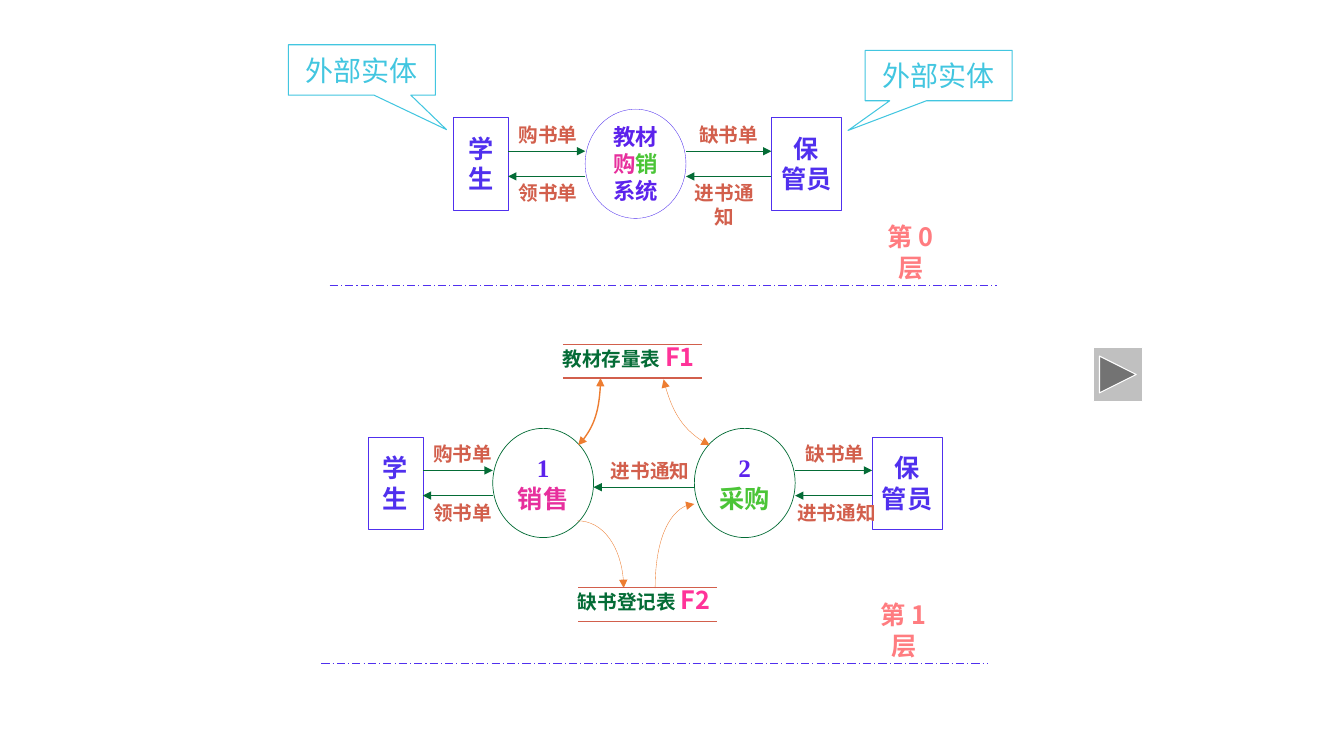
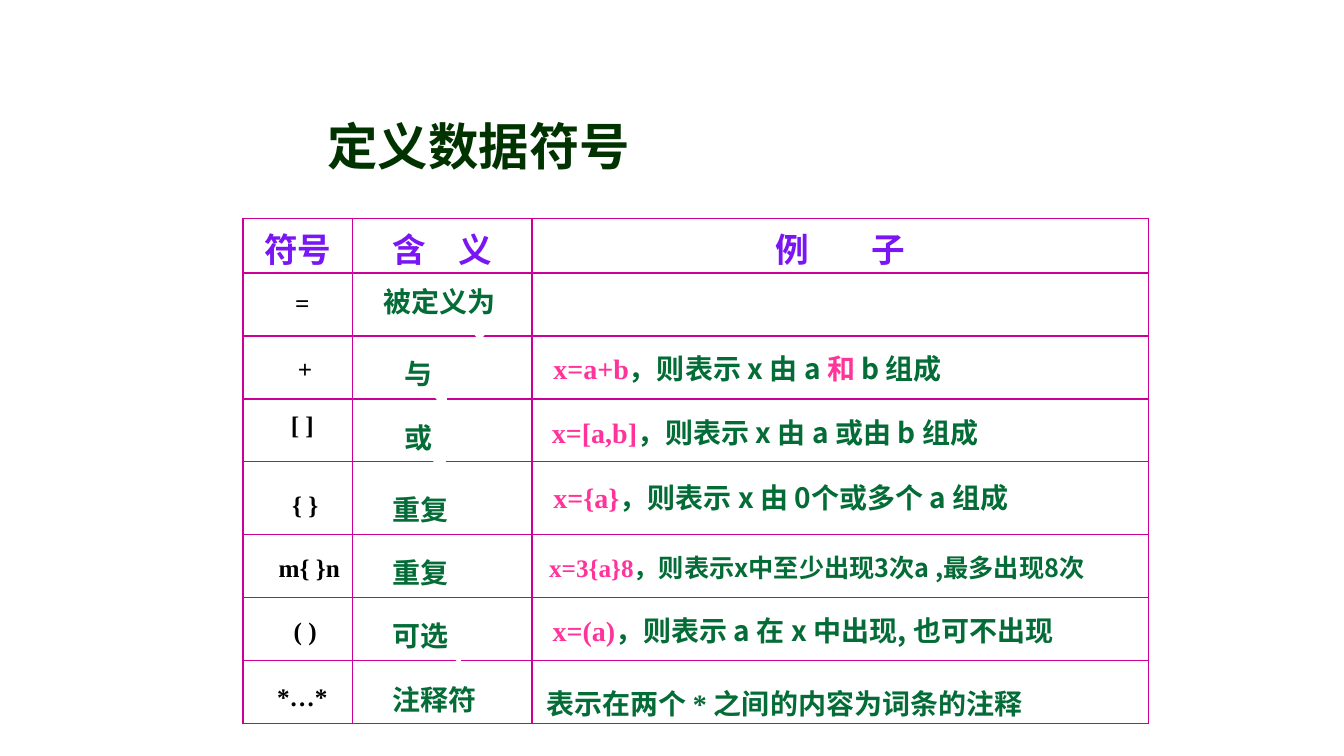
"""Build two slides: a two-level data flow diagram and a table of data definition symbols."""
from lxml.etree import SubElement
from pptx import Presentation
from pptx.dml.color import RGBColor
from pptx.enum.dml import MSO_LINE
from pptx.enum.shapes import MSO_CONNECTOR, MSO_SHAPE
from pptx.enum.text import MSO_ANCHOR, PP_ALIGN
from pptx.oxml.ns import qn
from pptx.util import Pt

RECT, ELLIPSE = MSO_SHAPE.RECTANGLE, MSO_SHAPE.OVAL
ROUNDED, CALLOUT = MSO_SHAPE.ROUNDED_RECTANGLE, MSO_SHAPE.RECTANGULAR_CALLOUT
NEXT_BUTTON = MSO_SHAPE.ACTION_BUTTON_FORWARD_OR_NEXT
STRAIGHT, DASH_DOT = MSO_CONNECTOR.STRAIGHT, MSO_LINE.LONG_DASH_DOT
TOP, MIDDLE = MSO_ANCHOR.TOP, MSO_ANCHOR.MIDDLE
LEFT, CENTER = PP_ALIGN.LEFT, PP_ALIGN.CENTER

SANS, SERIF, HEADER_FONT = "Noto Sans CJK SC", "Times New Roman", "Cambria"
WHITE, BLACK, GREY = "FFFFFF", "000000", "C0C0C0"
GREEN, BRICK, ORANGE, CYAN = "046C36", "D25F4C", "ED7D31", "42C6E0"
BLUE, VIOLET, MAGENTA, LIME = "5030EE", "5C22EC", "E72F9D", "4BC537"
PINK, SALMON, DARK_GREEN = "FF3399", "FF7C80", "003300"
HEADER_COLOR, BORDER_COLOR = "7A16F4", "CC0099"

ENTITY = (18, SERIF, BLUE)
ENTITY_HEIGHT, PROCESS_WIDTH, PROCESS_HEIGHT = 66, 72, 78
STUDENT = (39, ["学", "生"])
KEEPER = (50, ["保", "管员"])
SYSTEM = [
    [("教材", (16, SERIF, VIOLET))],
    [("购", (16, SERIF, MAGENTA)), ("销", (16, SERIF, LIME))],
    [("系统", (16, SERIF, VIOLET))],
]
SALES = [[("1", (18, SERIF, VIOLET))], [("销售", (18, SANS, MAGENTA))]]
PURCHASE = [[("2", (18, SERIF, VIOLET))], [("采购", (18, SANS, LIME))]]

LEVELS = [
    {
        "name": "第 0 层", "caption": (623, 162), "divider": (235.5, 712, 204),
        "entities": [(324, 84, STUDENT), (551, 84, KEEPER)],
        "processes": [(418, 78, SYSTEM, BLUE, 0.25)],
        "flows": [(363, 418, 108), (418, 363, 126), (490, 551, 108), (551, 490, 126)],
        "labels": [
            ("购书单", 363, 84, 57, False), ("领书单", 363, 126, 57, False),
            ("缺书单", 490, 84, 61, True), ("进书通知", 484.5, 126, 66, True),
        ],
    },
    {
        "name": "第 1 层", "caption": (618, 432), "divider": (229.5, 706, 474),
        "entities": [(263, 312, STUDENT), (623, 312, KEEPER)],
        "processes": [(352, 306, SALES, GREEN, 0.5), (496, 306, PURCHASE, GREEN, 0.5)],
        "flows": [
            (302, 352, 336), (352, 302, 354), (568, 623, 336), (623, 568, 354),
            (496, 424, 348),
        ],
        "labels": [
            ("购书单", 302, 312, 57, False), ("领书单", 302, 354, 57, False),
            ("缺书单", 568, 312, 57, False), ("进书通知", 562, 354, 71, False),
            ("进书通知", 429, 324, 71, False),
        ],
    },
]
STORES = [("教材存量表 ", "F1", 402, 246), ("缺书登记表 ", "F2", 413, 420)]
CURVES = [
    ([(412.5, 372), (431, 372), (445.5, 393.5), (445.5, 420)], 0.25, False),
    ([(468, 420), (468, 386.5), (480, 360), (496, 360)], 0.25, False),
    ([(413, 318), (423.5, 308), (429, 289.5), (429, 270)], 1, True),
    ([(507, 318), (491, 310.5), (479, 293), (474, 271)], 0.25, True),
]
ENTITY_NOTES = [(206, 32, (0.576, 1.184)), (618, 36, (-0.617, 1.09))]

HEADERS = [("符号", 0), ("含义", 23), ("例子", 45)]
COLUMN_WIDTHS = [78.5, 128, 440.5]
ROW_HEIGHTS = [39, 45, 45, 45, 52, 45, 45, 45]
SYMBOLS = [
    ("=", 196.5, 204, 39), ("+", 198.5, 251, 39), ("[ ]", 191, 291.5, 50),
    ("{ }", 193, 348, 50), ("m{ }n", 196, 393, 50), ("( )", 193, 438.5, 50),
    ("*…*", 191, 485.5, 50),
]
MEANINGS = [
    ("被定义为", (267, 200, 108, 28), (0.198, 1.05)),
    ("与", (282, 251, 45, 30), (0.312, 0.917)),
    ("或", (282, 297, 45, 30), (0.229, 0.917)),
    ("重复", (273.5, 348, 55, 24), (0.15, 0.771)),
    ("重复", (273.5, 393, 55, 24), (0.233, 0.854)),
    ("可选", (273, 438.5, 72, 24), (0.269, 0.979)),
    ("注释符", (273, 484, 94, 30), (0.423, -0.271)),
]
FORMULA, PLAIN, ACCENT = (SERIF, PINK), (SANS, GREEN), (SANS, PINK)
EXAMPLES = [
    (387, 251, 277, 20, [("x=a+b", FORMULA), ("，则表示 x 由 a ", PLAIN),
                         ("和 ", ACCENT), ("b 组成", PLAIN)]),
    (386, 297, 299, 20, [("x=[a,b]", FORMULA), ("，则表示 x 由 a 或由 b 组成", PLAIN)]),
    (387, 343, 277, 20, [("x={a}", FORMULA), ("，则表示 x 由 0个或多个 a 组成", PLAIN)]),
    (384, 393, 349, 18, [("x=3{a}8", FORMULA),
                         ("，则表示x中至少出现3次a ,最多出现8次", PLAIN)]),
    (386.5, 438.5, 338, 20, [("x=(a)", FORMULA),
                             ("，则表示 a 在 x 中出现, 也可不出现", PLAIN)]),
    (382, 490, 316, 20, [("表示在两个 ", PLAIN), ("* ", (SERIF, GREEN)),
                         ("之间的内容为词条的注释", PLAIN)]),
]


def rgb(value):
    return RGBColor.from_string(value)


def add_span(para, text, style, bold=True):
    size, font, color = style
    span = para.add_run()
    span.text = text
    span.font.size, span.font.bold, span.font.name = Pt(size), bold, font
    span.font.color.rgb = rgb(color)
    SubElement(span.font._element, qn("a:ea")).set("typeface", SANS)
    return span


def write(shape, paragraphs, align=CENTER, anchor=MIDDLE, wrap=False, bold=True):
    frame = shape.text_frame
    frame.word_wrap, frame.vertical_anchor = wrap, anchor
    for index, spans in enumerate(paragraphs):
        para = frame.add_paragraph() if index else frame.paragraphs[0]
        para.alignment = align
        for text, style in spans:
            add_span(para, text, style, bold)


def add_box(slide, kind, box, fill=None, line=None, width=0.25, adjust=()):
    shape = slide.shapes.add_shape(kind, *map(Pt, box))
    shape.shadow.inherit = False
    if fill:
        shape.fill.solid()
        shape.fill.fore_color.rgb = rgb(fill)
    else:
        shape.fill.background()
    if line:
        shape.line.color.rgb, shape.line.width = rgb(line), Pt(width)
    else:
        shape.line.fill.background()
    for index, value in enumerate(adjust):
        shape.adjustments[index] = value
    return shape


def add_text(slide, box, paragraphs, **layout):
    write(slide.shapes.add_textbox(*map(Pt, box)), paragraphs, **layout)


def add_arrowheads(shape, both=False):
    line = shape.line._get_or_add_ln()
    for end in ("a:headEnd", "a:tailEnd") if both else ("a:tailEnd",):
        SubElement(line, qn(end)).set("type", "triangle")


def add_line(slide, start, end, y, color, width, dash=None):
    line = slide.shapes.add_connector(STRAIGHT, Pt(start), Pt(y), Pt(end), Pt(y))
    line.line.color.rgb, line.line.width = rgb(color), Pt(width)
    if dash:
        line.line.dash_style = dash
    SubElement(line._element.spPr, qn("a:effectLst"))
    return line


def add_curve(slide, points, width, both):
    start, *rest = [(Pt(x), Pt(y)) for x, y in points]
    builder = slide.shapes.build_freeform(*start)
    builder.add_line_segments(rest, close=False)
    curve = builder.convert_to_shape()
    segments = curve._element.xpath(".//a:lnTo")
    outline = segments[0].getparent()
    bezier = SubElement(outline, qn("a:cubicBezTo"))
    for segment in segments:
        bezier.append(segment[0])
        outline.remove(segment)
    curve.shadow.inherit = False
    curve.fill.background()
    curve.line.color.rgb, curve.line.width = rgb(ORANGE), Pt(width)
    add_arrowheads(curve, both)


def add_level(slide, level):
    for x, y, (width, lines) in level["entities"]:
        entity = add_box(slide, RECT, (x, y, width, ENTITY_HEIGHT), WHITE, BLUE)
        write(entity, [[(text, ENTITY)] for text in lines])
    for x, y, paragraphs, color, width in level["processes"]:
        box = (x, y, PROCESS_WIDTH, PROCESS_HEIGHT)
        write(add_box(slide, ELLIPSE, box, WHITE, color, width), paragraphs)
    for start, end, y in level["flows"]:
        add_arrowheads(add_line(slide, start, end, y, GREEN, 0.25))
    for text, x, y, width, wrap in level["labels"]:
        add_text(slide, (x, y, width, 24), [[(text, (14, SANS, BRICK))]],
                 anchor=TOP, wrap=wrap)
    add_line(slide, *level["divider"], BLUE, 0.75, DASH_DOT)
    add_text(slide, (*level["caption"], 55, 36), [[(level["name"], (18, SANS, SALMON))]])


def build_flow_slide(slide):
    for level in LEVELS:
        add_level(slide, level)
    for points, width, both in CURVES:
        add_curve(slide, points, width, both)
    for name, code, x, y in STORES:
        for edge in (y, y + 24):
            add_line(slide, x, x + 99.5, edge, BRICK, 0.75)
        spans = [(name, (14, SANS, GREEN)), (code, (18, SANS, PINK))]
        add_text(slide, (x - 14, y - 6, 122, 46), [spans], anchor=TOP, wrap=True)
    for x, y, tip in ENTITY_NOTES:
        note = add_box(slide, CALLOUT, (x, y, 105, 36), None, CYAN, 0.75, tip)
        write(note, [[("外部实体", (20, SERIF, CYAN))]], wrap=True, bold=False)
    add_box(slide, NEXT_BUTTON, (781, 248, 35, 39), GREY, WHITE, 0.75)


def style_cell(cell):
    properties = cell._tc.get_or_add_tcPr()
    for side in ("a:lnL", "a:lnR", "a:lnT", "a:lnB"):
        border = SubElement(properties, qn(side), w=str(Pt(1)))
        fill = SubElement(border, qn("a:solidFill"))
        SubElement(fill, qn("a:srgbClr"), val=BORDER_COLOR)
    cell.fill.background()
    cell.vertical_anchor = MIDDLE


def add_symbol_table(slide):
    frame = slide.shapes.add_table(
        len(ROW_HEIGHTS), len(COLUMN_WIDTHS), Pt(173.5), Pt(156),
        Pt(sum(COLUMN_WIDTHS)), Pt(sum(ROW_HEIGHTS)))
    table = frame.table
    table.first_row = table.horz_banding = False
    for column, width in zip(table.columns, COLUMN_WIDTHS):
        column.width = Pt(width)
    for row, height in zip(table.rows, ROW_HEIGHTS):
        row.height = Pt(height)
    for cell in table.iter_cells():
        style_cell(cell)
    for cell, (text, gap) in zip(table.rows[0].cells, HEADERS):
        para = cell.text_frame.paragraphs[0]
        para.alignment, para.space_before = CENTER, Pt(6)
        style = (24, HEADER_FONT, HEADER_COLOR)
        first = add_span(para, text[0], style)
        first.font._element.set("spc", str(gap * 100))
        add_span(para, text[1:], style)


def build_symbol_slide(slide):
    add_text(slide, (196.5, 83, 291, 42), [[("定义数据符号", (36, SANS, DARK_GREEN))]])
    add_symbol_table(slide)
    for text, x, y, width in SYMBOLS:
        symbol = add_box(slide, RECT, (x, y, width, 24), WHITE)
        write(symbol, [[(text, (18, SERIF, BLACK))]])
    for text, box, tip in MEANINGS:
        meaning = add_box(slide, CALLOUT, box, WHITE, adjust=tip)
        write(meaning, [[(text, (20, SERIF, GREEN))]], LEFT, TOP, True)
    for x, y, width, size, spans in EXAMPLES:
        example = add_box(slide, ROUNDED, (x, y, width, 24))
        write(example, [[(text, (size, *look)) for text, look in spans]], LEFT)


def main():
    deck = Presentation()
    deck.slide_width, deck.slide_height = Pt(960), Pt(540)
    for build in (build_flow_slide, build_symbol_slide):
        build(deck.slides.add_slide(deck.slide_layouts[6]))
    deck.save("out.pptx")


if __name__ == "__main__":
    main()
